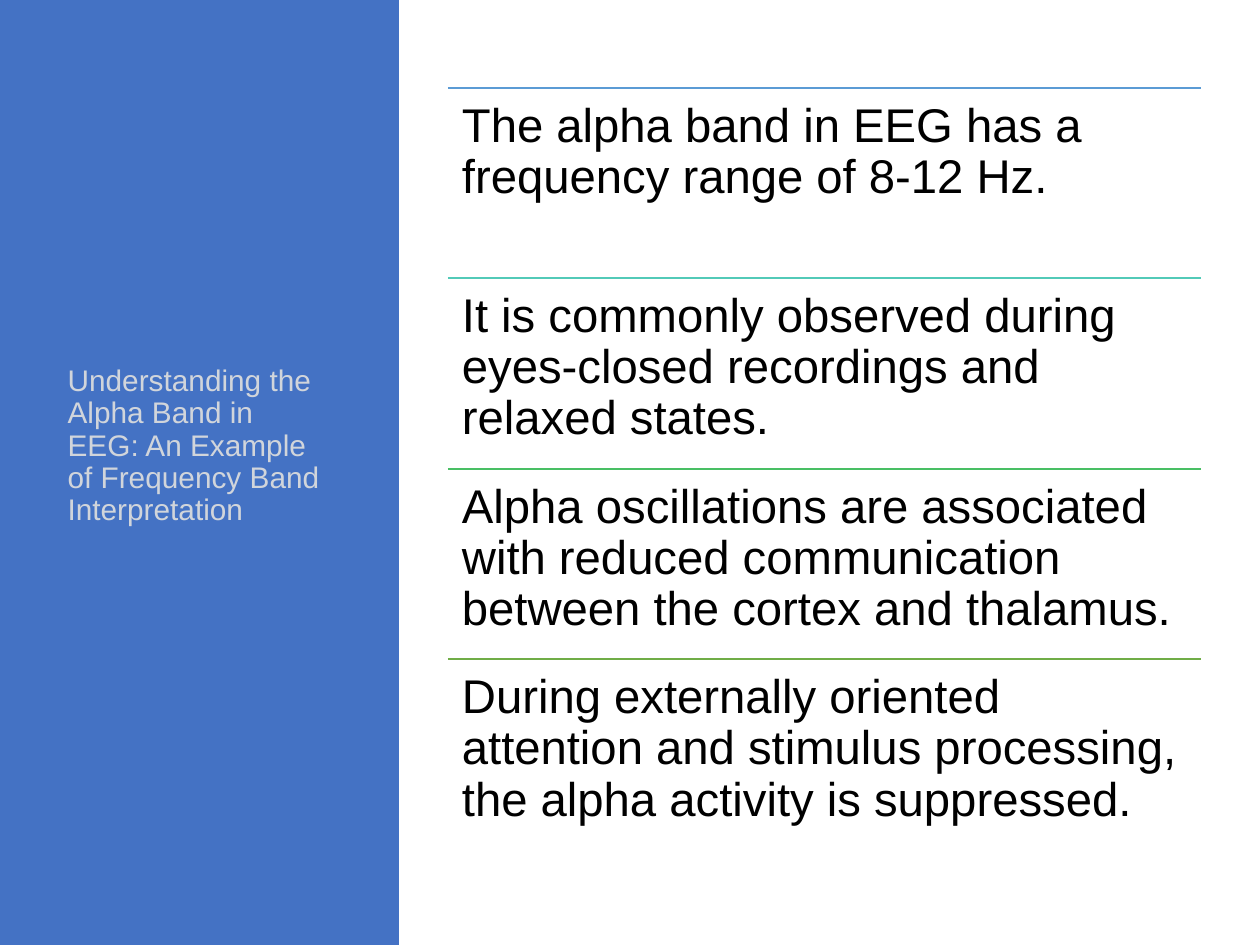
"""Build a slide on the EEG alpha band: a title panel beside four ruled statements."""
from lxml.etree import SubElement
from pptx import Presentation
from pptx.dml.color import RGBColor
from pptx.enum.shapes import MSO_CONNECTOR, MSO_SHAPE
from pptx.enum.text import MSO_ANCHOR, MSO_AUTO_SIZE, PP_ALIGN
from pptx.oxml.ns import qn
from pptx.util import Emu, Pt

COLORS = {
    "panel": "4472C4",
    "title": "D1D5DB",
    "text": "000000",
    "rules": ["5B9BD5", "52CAB8", "49BF64", "70AD47"],
}
STATEMENTS = [
    "The alpha band in EEG has a frequency range of 8-12 Hz.",
    "It is commonly observed during eyes-closed recordings and relaxed states.",
    "Alpha oscillations are associated with reduced communication between the cortex and thalamus.",
    "During externally oriented attention and stimulus processing, the alpha activity is suppressed.",
]
LEFT, TOP, WIDTH, SPAN, INSET = 448, 88, 753, 762, 14


def px(n):
    return Emu(round(n * 914400 / 126))


def write(tf, text, size, color, after):
    tf.word_wrap = True
    tf.auto_size = MSO_AUTO_SIZE.NONE
    p = tf.paragraphs[0]
    p.alignment = PP_ALIGN.LEFT
    p.line_spacing = 0.9
    p.space_before = Pt(0)
    p.space_after = Pt(after)
    r = p.add_run()
    r.text = text
    r.font.name = "Arial"
    r.font.size = Pt(size)
    r.font.color.rgb = RGBColor.from_string(color)


prs = Presentation()
prs.slide_width, prs.slide_height = px(1260), px(945)
s = prs.slides.add_slide(prs.slide_layouts[5])

title = s.shapes.title
title.left, title.top, title.width, title.height = px(55), px(95), px(287), px(703)
title.text_frame.vertical_anchor = MSO_ANCHOR.MIDDLE
write(title.text_frame,
      "Understanding the Alpha Band in EEG: An Example of Frequency Band Interpretation",
      17, COLORS["title"], 6)

panel = s.shapes.add_shape(MSO_SHAPE.RECTANGLE, 0, 0, px(399), px(945))
panel.shadow.inherit = False
panel.fill.solid()
panel.fill.fore_color.rgb = RGBColor.from_string(COLORS["panel"])
panel.line.fill.background()
title.element.addprevious(panel.element)

for i, (text, color) in enumerate(zip(STATEMENTS, COLORS["rules"])):
    y = TOP + SPAN * i // len(STATEMENTS)
    rule = s.shapes.add_connector(MSO_CONNECTOR.STRAIGHT, px(LEFT), px(y), px(LEFT + WIDTH), px(y))
    rule.line.color.rgb = RGBColor.from_string(color)
    rule.line.width = Pt(1)
    SubElement(rule.element.spPr, qn("a:effectLst"))

    box = s.shapes.add_textbox(px(LEFT), px(y), px(WIDTH), px(SPAN // len(STATEMENTS)))
    tf = box.text_frame
    tf.margin_left = tf.margin_right = tf.margin_top = tf.margin_bottom = px(INSET)
    write(tf, text, 27, COLORS["text"], 9)

prs.save("out.pptx")
